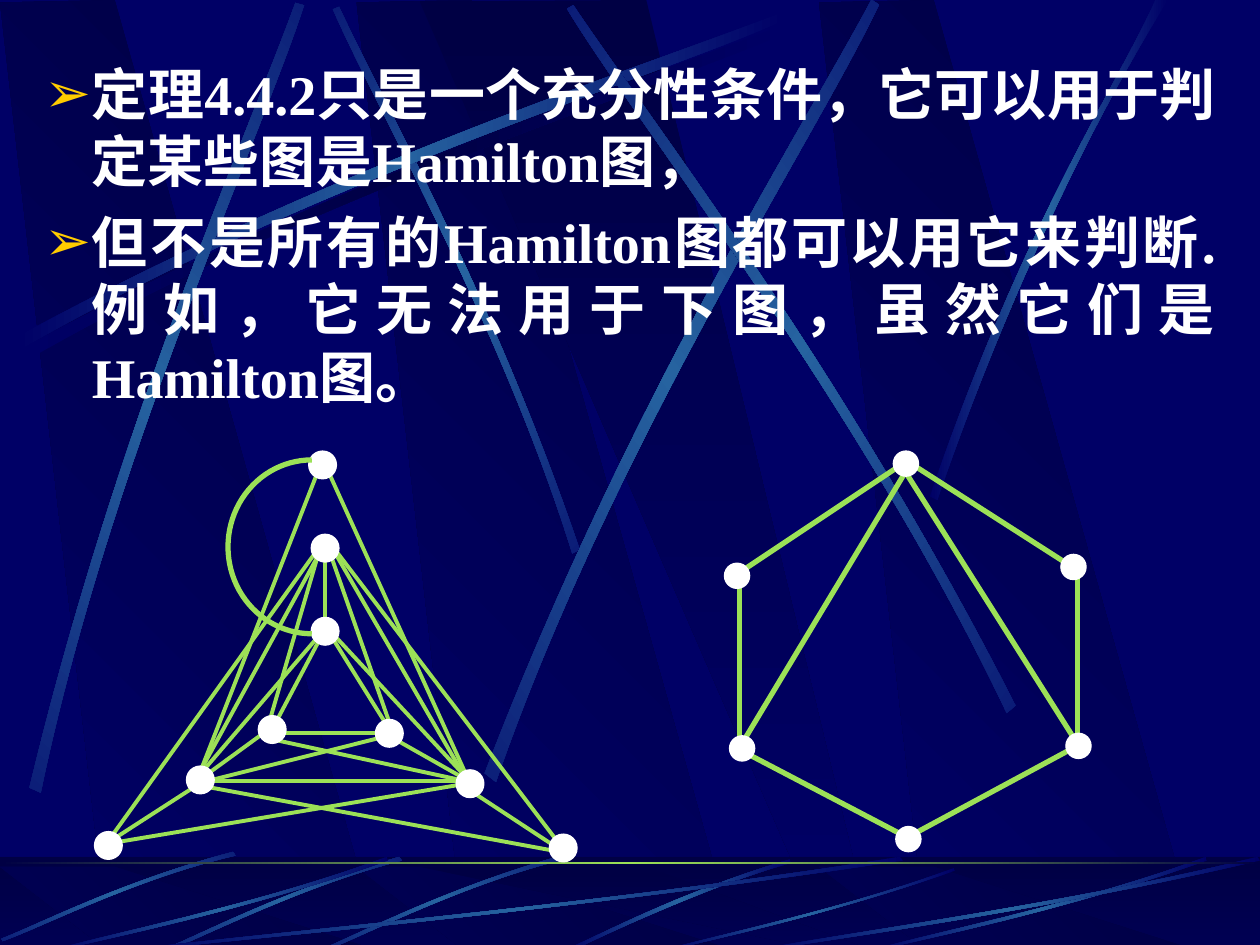
import pptx
import pptx.util
import pptx.dml.color
import pptx.enum.shapes
import pptx.enum.text
import pptx.oxml
import pptx.oxml.ns
import lxml.etree
import math

PX = 9144
THEME = {
    "ground": "000066", "shade": "000044", "beam": "2663A0", "edge": "9CE157",
    "text": "FFFFFF", "bullet": "FFCC00", "font": "Times New Roman", "size": 32,
}
SHADE = [THEME["shade"], THEME["ground"]]
BEAM = [THEME["ground"], THEME["beam"], THEME["ground"]]
SOFT_BEAM = [THEME["ground"], THEME["shade"], THEME["ground"]]
HORIZON = [THEME["shade"], THEME["edge"], THEME["shade"]]

TEXTS = [
    "定理4.4.2只是一个充分性条件，它可以用于判定某些图是Hamilton图，",
    "但不是所有的Hamilton图都可以用它来判断.例如，它无法用于下图，虽然它们是Hamilton图。",
]

PANEL_SHIFTS = [283, 0, 650]
WALL_PANEL = [(86, 750), (302, 752), (91, 0), (0, 2)]
WALL_WEDGE = [(333, 1), (658, 751), (694, 751), (513, 0)]
FLOOR_PANEL = [(86, 755), (302, 755), (91, 688), (0, 688)]
FLOOR_WEDGE = [(333, 688), (658, 755), (694, 755), (513, 688)]

SOFT_RIBBONS = [
    (0, (0, 0), [0], [(20, 275), (284, 134), (524, 59), (626, 18), (629, 24), (528, 69), (254, 151), (23, 285)]),
]
WALL_RIBBONS = [
    (45, (362, 222), [0],
     [(460, 436), (391, 234), (302, 77), (269, 5), (264, 7), (295, 79), (398, 258), (454, 439)]),
    (0, (0, 0), [0], [(14, 267), (278, 125), (518, 51), (620, 10), (623, 16), (522, 61), (248, 143), (17, 277)]),
    (311.7, (133, 316), [0],
     [(23, 625), (93, 334), (197, 105), (234, 2), (241, 4), (207, 109), (86, 368), (32, 629)]),
    (321.6, (543, 310), [0],
     [(385, 614), (498, 320), (638, 102), (692, 0), (698, 4), (649, 108), (486, 355), (394, 621)]),
    (34.8, (627, 285), [0],
     [(806, 560), (670, 293), (516, 95), (455, 4), (450, 7), (507, 101), (685, 325), (799, 566)]),
    (0, (0, 0), [0], [(738, 394), (814, 173), (888, 66), (917, 0), (927, 0), (836, 145), (769, 322), (744, 397)]),
]
FLOOR_RIBBONS = [
    (0, (0, 0), [0], [(627, 682), (537, 709), (477, 742), (448, 754), (453, 755), (490, 737), (571, 700), (628, 685)]),
    (314.9, (225, 718), [125, 0],
     [(317, 680), (230, 705), (162, 740), (131, 753), (132, 755), (163, 743), (240, 703), (319, 683)]),
    (314.9, (94, 712), [0],
     [(185, 676), (98, 699), (32, 733), (1, 745), (2, 747), (33, 736), (108, 697), (187, 679)]),
    (0, (0, 0), [0], [(717, 683), (449, 723), (206, 744), (103, 755), (100, 754), (202, 741), (480, 718), (714, 680)]),
    (0, (0, 0), [0, 650], [(308, 683), (193, 723), (88, 744), (43, 755), (42, 754), (86, 741), (206, 718), (307, 680)]),
    (0, (0, 0), [0], [(758, 691), (658, 726), (567, 745), (528, 755), (527, 754), (565, 743), (669, 722), (757, 689)]),
    (0, (0, 0), [0], [(1000, 683), (827, 723), (669, 744), (602, 755), (600, 754), (666, 741), (846, 718), (998, 680)]),
]

TRIANGLE_GRAPH = {
    "line": 2.25, "node": 22,
    "edges": [
        (221, 582, 301, 582), (258, 442, 258, 495), (164, 620, 375, 620), (255, 505, 217, 577),
        (263, 505, 311, 582), (252, 442, 212, 579), (252, 375, 156, 620), (260, 373, 370, 615),
        (263, 442, 311, 579), (266, 439, 372, 622), (252, 442, 159, 612), (268, 439, 441, 666),
        (250, 439, 87, 666), (371, 626, 444, 674), (156, 623, 444, 676), (314, 587, 367, 617),
        (209, 582, 161, 617), (152, 626, 90, 666), (217, 587, 370, 620), (95, 668, 370, 622),
        (266, 505, 370, 617), (164, 620, 308, 584), (161, 612, 257, 500),
    ],
    "nodes": [(75, 660), (148, 608), (205, 568), (245, 358), (247, 424), (247, 490),
              (298, 571), (362, 611), (436, 662)],
}
HEXAGON_GRAPH = {
    "line": 3, "node": 20,
    "edges": [
        (587, 454, 587, 595), (715, 369, 589, 453), (853, 593, 725, 662), (720, 366, 851, 450),
        (587, 595, 715, 662), (717, 372, 853, 587), (722, 369, 589, 590), (855, 447, 855, 588),
    ],
    "nodes": [(711, 656), (846, 582), (842, 440), (709, 358), (575, 447), (579, 584)],
}
ARC = {"place": (181, 365, 133, 138), "angles": (90, 270), "line": 3}


def color(name):
    return pptx.dml.color.RGBColor.from_string(THEME[name])


def paint(shape, stops, angle, alpha=100):
    shape.shadow.inherit = False
    shape.line.fill.background()
    shape.fill.background()
    gradient = "".join(
        f'<a:gs pos="{100000 * i // (len(stops) - 1)}"><a:srgbClr val="{stop}">'
        f'<a:alpha val="{alpha * 1000}"/></a:srgbClr></a:gs>' for i, stop in enumerate(stops))
    fill = pptx.oxml.parse_xml(
        f'<a:gradFill {pptx.oxml.ns.nsdecls("a")} rotWithShape="1"><a:gsLst>{gradient}</a:gsLst>'
        f'<a:lin ang="{angle * 60000}" scaled="0"/></a:gradFill>')
    properties = shape._element.spPr
    properties.replace(properties.find(pptx.oxml.ns.qn("a:noFill")), fill)


def outline(group, points):
    points = [(round(x * PX), round(y * PX)) for x, y in points]
    builder = group.shapes.build_freeform(*points[0], scale=1.0)
    builder.add_line_segments(points[1:], close=True)
    return builder.convert_to_shape()


def bend(shape):
    lines = list(shape._element.iter(pptx.oxml.ns.qn("a:lnTo")))
    for controls in (lines[:3], lines[4:7]):
        cubic = lxml.etree.Element(pptx.oxml.ns.qn("a:cubicBezTo"))
        controls[0].addprevious(cubic)
        for line in controls:
            cubic.append(line[0])
            line.getparent().remove(line)


def turn_back(point, center, degrees):
    angle = math.radians(-degrees)
    x, y = point[0] - center[0], point[1] - center[1]
    return (center[0] + x * math.cos(angle) - y * math.sin(angle),
            center[1] + x * math.sin(angle) + y * math.cos(angle))


def add_panels(group, panel, wedge):
    for shift in PANEL_SHIFTS:
        paint(outline(group, [(x + shift, y) for x, y in panel]), SHADE, 135)
    paint(outline(group, wedge), SHADE, 90)


def add_ribbons(group, ribbons, stops):
    for degrees, center, shifts, controls in ribbons:
        level = [turn_back(point, center, degrees) for point in controls]
        for shift in shifts:
            shape = outline(group, [(x + shift, y) for x, y in level])
            bend(shape)
            shape.rotation = degrees
            paint(shape, stops, 180)


def add_preset(group, kind, *place):
    return group.shapes.add_shape(kind, *(value * PX for value in place))


def add_scenery(page, master):
    rectangle = pptx.enum.shapes.MSO_SHAPE.RECTANGLE
    group = page.shapes.add_group_shape()
    add_panels(group, WALL_PANEL, WALL_WEDGE)
    add_ribbons(group, SOFT_RIBBONS, SOFT_BEAM)
    add_ribbons(group, WALL_RIBBONS, BEAM)
    paint(add_preset(group, rectangle, 0, 680, 1000, 75), SHADE, 90)
    add_panels(group, FLOOR_PANEL, FLOOR_WEDGE)
    paint(add_preset(group, rectangle, 0, 680, 1000, 75), [THEME["shade"]] * 2, 0, alpha=50)
    add_ribbons(group, FLOOR_RIBBONS, BEAM)
    paint(add_preset(group, rectangle, 0, 684, 1000, 2), HORIZON, 180)
    master.shapes._spTree.insert(2, group._element)


def add_text(box):
    box.left, box.top, box.width, box.height = (value * PX for value in (25, 42, 950, 642))
    frame = box.text_frame
    frame.text = "\n".join(TEXTS)
    frame.word_wrap = True
    frame.auto_size = pptx.enum.text.MSO_AUTO_SIZE.NONE
    frame.vertical_anchor = pptx.enum.text.MSO_ANCHOR.TOP
    for index, para in enumerate(frame.paragraphs):
        para.alignment = pptx.enum.text.PP_ALIGN.JUSTIFY
        para.space_before = pptx.util.Pt(8 if index else 0)
        properties = para._p.get_or_add_pPr()
        properties.set("marL", str(38 * PX))
        properties.set("indent", str(-38 * PX))
        tint = lxml.etree.SubElement(properties, pptx.oxml.ns.qn("a:buClr"))
        lxml.etree.SubElement(tint, pptx.oxml.ns.qn("a:srgbClr")).set("val", THEME["bullet"])
        lxml.etree.SubElement(properties, pptx.oxml.ns.qn("a:buChar")).set("char", "➢")
        for span in para.runs:
            span.font.name = THEME["font"]
            span.font.size = pptx.util.Pt(THEME["size"])
            span.font.bold = True
            span.font.color.rgb = color("text")


def stroke(shape, name, width):
    shape.line.color.rgb = color(name)
    shape.line.width = pptx.util.Pt(width)


def add_graph(page, graph):
    group = page.shapes.add_group_shape()
    for edge in graph["edges"]:
        line = group.shapes.add_connector(
            pptx.enum.shapes.MSO_CONNECTOR.STRAIGHT, *(value * PX for value in edge))
        stroke(line, "edge", graph["line"])
        lxml.etree.SubElement(line._element.spPr, pptx.oxml.ns.qn("a:effectLst"))
    for left, top in graph["nodes"]:
        node = add_preset(group, pptx.enum.shapes.MSO_SHAPE.OVAL, left, top, graph["node"], graph["node"])
        node.shadow.inherit = False
        node.fill.solid()
        node.fill.fore_color.rgb = color("text")
        stroke(node, "text", 0.75)
    return group


def add_arc(group):
    arc = add_preset(group, pptx.enum.shapes.MSO_SHAPE.ARC, *ARC["place"])
    for index, angle in enumerate(ARC["angles"]):
        arc.adjustments[index] = angle * 0.6
    arc.shadow.inherit = False
    arc.fill.background()
    stroke(arc, "edge", ARC["line"])


def main():
    deck = pptx.Presentation()
    deck.slide_width, deck.slide_height = 1000 * PX, 750 * PX
    page = deck.slides.add_slide(deck.slide_layouts[1])
    page.background.fill.solid()
    page.background.fill.fore_color.rgb = color("ground")
    title, box = page.placeholders
    title._element.getparent().remove(title._element)
    add_scenery(page, deck.slide_master)
    add_text(box)
    add_arc(add_graph(page, TRIANGLE_GRAPH))
    add_graph(page, HEXAGON_GRAPH)
    deck.save("out.pptx")


if __name__ == "__main__":
    main()
